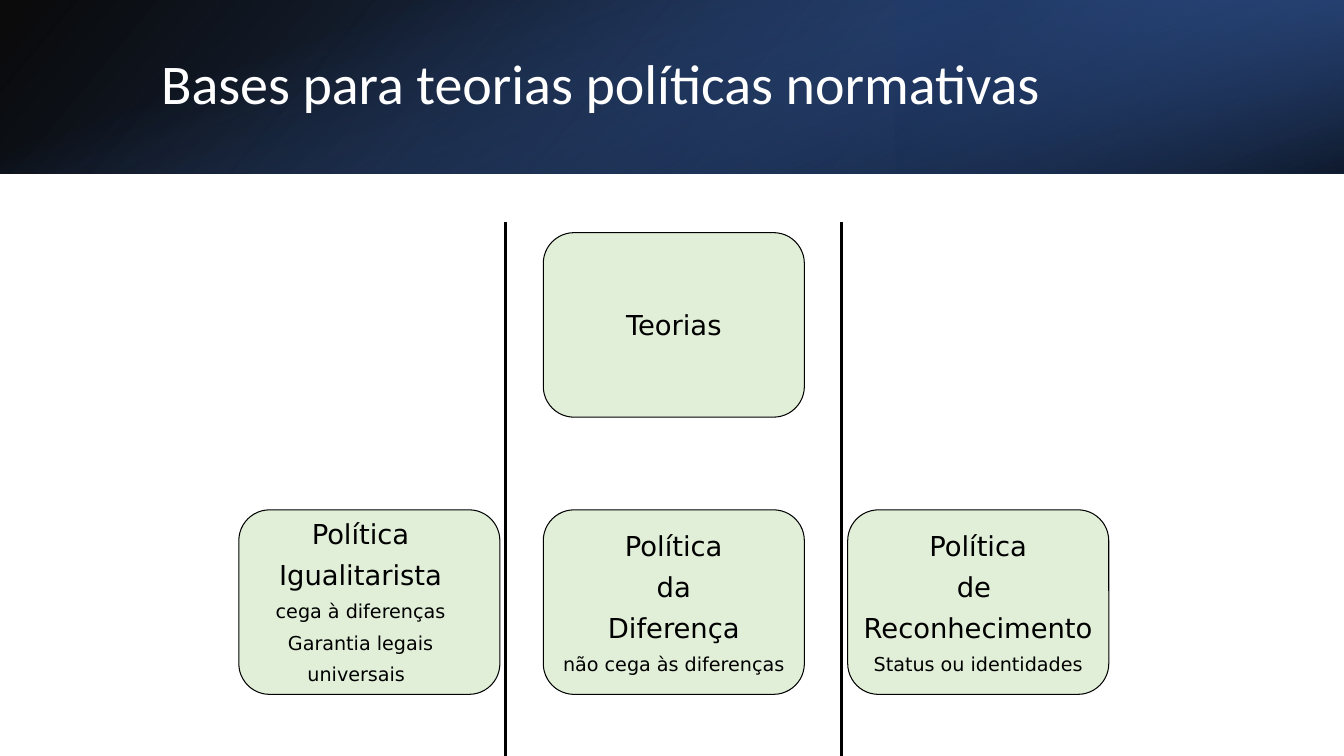
from dataclasses import dataclass
from lxml.etree import SubElement
from pptx import Presentation
from pptx.dml.color import RGBColor
from pptx.enum.shapes import MSO_CONNECTOR, MSO_SHAPE
from pptx.enum.text import MSO_ANCHOR, PP_ALIGN
from pptx.oxml.ns import qn
from pptx.slide import Slide
from pptx.util import Pt

BLACK = RGBColor(0x00, 0x00, 0x00)
WHITE = RGBColor(0xFF, 0xFF, 0xFF)
GREEN = RGBColor(0xE1, 0xEF, 0xD8)
NAVY = RGBColor(0x1F, 0x38, 0x64)
ROYAL = RGBColor(0x2F, 0x54, 0x96)
BLUE = RGBColor(0x44, 0x72, 0xC4)

WIDE, HIGH, BAND = 960, 540, 123.84
CARD_W, CARD_H = 186.5, 131.8
LEFT, TOP = 170.6, 166.2
STEP_X, STEP_Y = 217.45, 198
BIG, SMALL = 19.6, 13.7


@dataclass
class Stop:
    place: int
    color: RGBColor
    alpha: int


@dataclass
class Panel:
    left: float
    top: float
    width: float
    height: float
    turn: int
    flip: bool
    angle: int
    stops: list[Stop]


@dataclass
class Word:
    text: str
    size: float = BIG


@dataclass
class Line:
    words: list[Word]
    inset: float = 0


@dataclass
class Card:
    col: int
    row: int
    lines: list[Line]


PANELS = [
    Panel(0, 0, WIDE, BAND, 0, True, 140,
          [Stop(0, BLACK, 96), Stop(100, ROYAL, 100)]),
    Panel(WIDE * 2 / 3, 0, WIDE / 3, BAND, 180, True, 320,
          [Stop(0, NAVY, 68), Stop(19, NAVY, 68), Stop(100, BLUE, 79)]),
    Panel((WIDE - BAND) / 2, (BAND - WIDE) / 2, BAND, WIDE, 90, False, 340,
          [Stop(0, BLUE, 0), Stop(23, BLUE, 0), Stop(99, BLACK, 74), Stop(100, BLACK, 74)]),
]

CARDS = [
    Card(1, 0, [Line([Word("Teorias")])]),
    Card(0, 1, [Line([Word("Política")], 12.5), Line([Word("Igualitarista")]),
                Line([Word("cega à diferenças", SMALL)]),
                Line([Word("Garantia legais universais", SMALL), Word(" ")])]),
    Card(1, 1, [Line([Word("Política")]), Line([Word(" da ")]), Line([Word("Diferença")]),
                Line([Word("não cega às diferenças", SMALL)])]),
    Card(2, 1, [Line([Word("Política")]), Line([Word("de ")]), Line([Word("Reconhecimento")]),
                Line([Word("Status ou identidades", SMALL)])]),
]

RULES = [601.2, 360.9]


def add_panel(slide: Slide, panel: Panel) -> None:
    shape = slide.shapes.add_shape(MSO_SHAPE.RECTANGLE, Pt(panel.left), Pt(panel.top),
                                   Pt(panel.width), Pt(panel.height))
    shape.shadow.inherit = False
    shape.line.fill.background()
    shape.rotation = panel.turn
    props = shape._element.spPr
    if panel.flip:
        props.find(qn("a:xfrm")).set("flipH", "1")
    shape.fill.gradient()
    grad = props.find(qn("a:gradFill"))
    for child in list(grad):
        grad.remove(child)
    group = SubElement(grad, qn("a:gsLst"))
    for stop in panel.stops:
        mark = SubElement(group, qn("a:gs"), pos=str(stop.place * 1000))
        color = SubElement(mark, qn("a:srgbClr"), val=str(stop.color))
        SubElement(color, qn("a:alpha"), val=str(stop.alpha * 1000))
    SubElement(grad, qn("a:lin"), ang=str(panel.angle * 60000), scaled="0")


def add_title(slide: Slide, text: str) -> None:
    frame = slide.shapes.add_textbox(Pt(108), Pt(27.4), Pt(790.5), Pt(69)).text_frame
    frame.word_wrap = True
    frame.vertical_anchor = MSO_ANCHOR.MIDDLE
    para = frame.paragraphs[0]
    para.line_spacing = 0.9
    run = para.add_run()
    run.text = text
    run.font.name = "Calibri"
    run.font.size = Pt(40)
    run.font.color.rgb = WHITE


def add_rule(slide: Slide, left: float) -> None:
    rule = slide.shapes.add_connector(MSO_CONNECTOR.STRAIGHT, Pt(left), Pt(158.4),
                                      Pt(left), Pt(HIGH))
    rule.line.color.rgb = BLACK
    rule.line.width = Pt(2.25)
    SubElement(rule._element.spPr, qn("a:effectLst"))


def add_card(slide: Slide, card: Card) -> None:
    shape = slide.shapes.add_shape(
        MSO_SHAPE.ROUNDED_RECTANGLE, Pt(LEFT + card.col * STEP_X),
        Pt(TOP + card.row * STEP_Y), Pt(CARD_W), Pt(CARD_H))
    shape.shadow.inherit = False
    shape.fill.solid()
    shape.fill.fore_color.rgb = GREEN
    shape.line.color.rgb = BLACK
    shape.line.width = Pt(0.75)
    frame = shape.text_frame
    frame.word_wrap = True
    frame.vertical_anchor = MSO_ANCHOR.MIDDLE
    frame.margin_left = frame.margin_right = frame.margin_top = frame.margin_bottom = 0
    for index, line in enumerate(card.lines):
        para = frame.add_paragraph() if index else frame.paragraphs[0]
        para.alignment = PP_ALIGN.CENTER
        if index:
            para.space_before = Pt(6)
        if line.inset:
            para._p.get_or_add_pPr().set("marR", str(Pt(line.inset)))
        for word in line.words:
            run = para.add_run()
            run.text = word.text
            run.font.name = "DejaVu Sans"
            run.font.size = Pt(word.size)
            run.font.color.rgb = BLACK


def main() -> None:
    deck = Presentation()
    deck.slide_width, deck.slide_height = Pt(WIDE), Pt(HIGH)
    slide = deck.slides.add_slide(deck.slide_layouts[6])
    for panel in PANELS:
        add_panel(slide, panel)
    add_title(slide, "Bases para teorias políticas normativas")
    for left in RULES:
        add_rule(slide, left)
    for card in CARDS:
        add_card(slide, card)
    deck.save("out.pptx")


if __name__ == "__main__":
    main()
